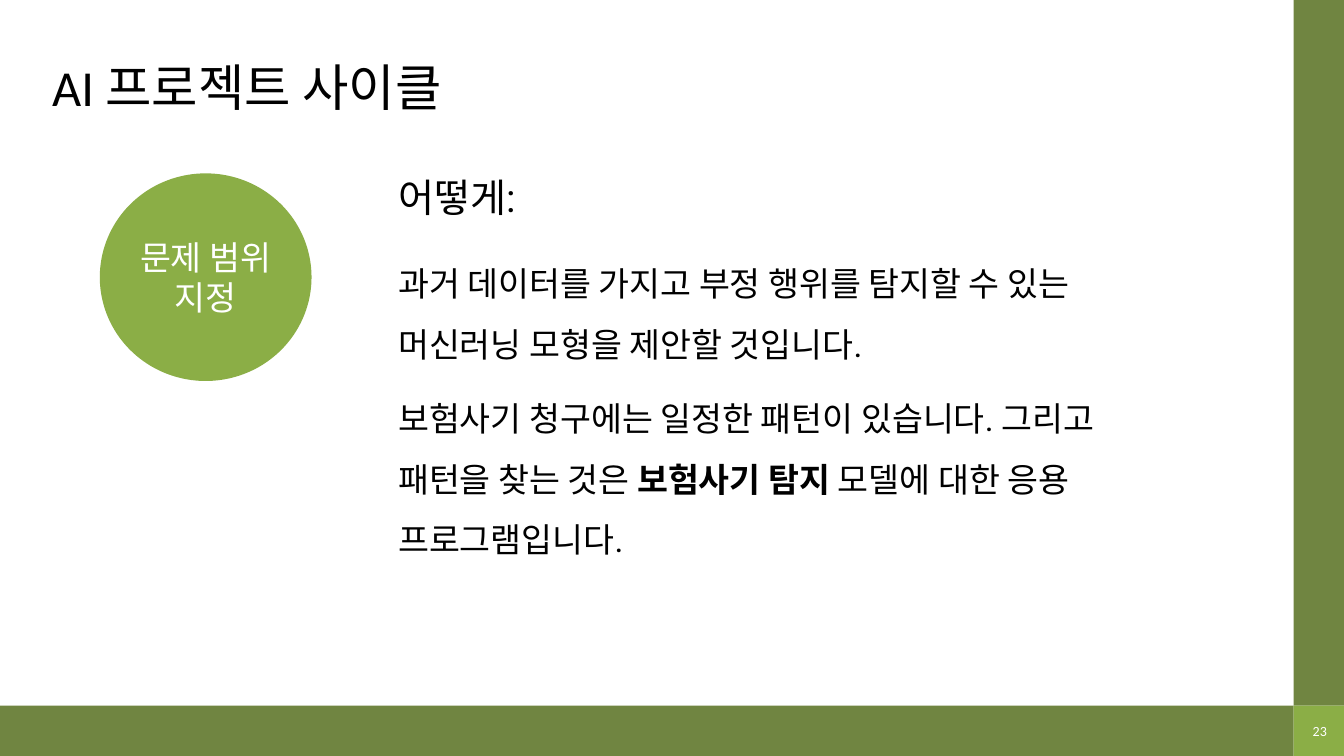
import pptx
import pptx.util
import pptx.dml.color
from pptx.enum.shapes import MSO_SHAPE
from pptx.enum.text import MSO_ANCHOR, PP_ALIGN

PX = 9144  # 100 px to the inch
COLORS = {"olive": "708541", "green": "8BAE46", "black": "000000", "white": "FFFFFF"}

deck = pptx.Presentation()
deck.slide_width, deck.slide_height = 1333 * PX, 750 * PX
slide = deck.slides.add_slide(deck.slide_layouts[6])


def add_block(kind, left, top, width, height, color):
    block = slide.shapes.add_shape(kind, left * PX, top * PX, width * PX, height * PX)
    block.shadow.inherit = False
    block.fill.solid()
    block.fill.fore_color.rgb = pptx.dml.color.RGBColor.from_string(COLORS[color])
    block.line.fill.background()
    return block


def set_text(shape, lines, size, font, color, spacing=1.0, inset=None):
    """Fill a shape with paragraphs, each a list of text runs; every second run is bold."""
    frame = shape.text_frame
    frame.word_wrap = True
    if inset is not None:
        frame.margin_left = frame.margin_right = inset * PX
        frame.margin_top = frame.margin_bottom = inset * PX
    for i, parts in enumerate(lines):
        para = frame.paragraphs[0] if i == 0 else frame.add_paragraph()
        para.line_spacing = spacing
        if i > 0:
            para.space_before = pptx.util.Pt(10)
        for j, part in enumerate(parts):
            run = para.add_run()
            run.text = part
            run.font.size = pptx.util.Pt(size)
            run.font.name = font
            run.font.bold = j % 2 == 1
            run.font.color.rgb = pptx.dml.color.RGBColor.from_string(COLORS[color])
    return frame


# Frame along the bottom and right edges
for left, top, width, height, color in [
    (0, 700, 1283, 50, "olive"),
    (1283, 0, 50, 700, "olive"),
    (1283, 700, 50, 50, "green"),
]:
    add_block(MSO_SHAPE.RECTANGLE, left, top, width, height, color)

# Circle with the project stage
circle = add_block(MSO_SHAPE.OVAL, 99, 172, 210, 206, "green")
frame = set_text(circle, [["문제 범위 지정"]], 24, "Roboto", "white", inset=6)
frame.vertical_anchor = MSO_ANCHOR.MIDDLE
frame.paragraphs[0].alignment = PP_ALIGN.CENTER

# Title, heading, body and page number
body = [
    ["과거 데이터를 가지고 부정 행위를 탐지할 수 있는 머신러닝 모형을 제안할 것입니다."],
    ["보험사기 청구에는 일정한 패턴이 있습니다. 그리고 패턴을 찾는 것은 ",
     "보험사기 탐지 ", "모델에 대한 응용 프로그램입니다."],
]
frames = []
for place, lines, size, font, color, spacing, inset in [
    ((42, 24, 594, 131), [["AI 프로젝트 사이클"]], 36, "Calibri", "black", 0.9, None),
    ((385, 172, 792, 58), [["어떻게:"]], 28, "Roboto", "black", 0.9, None),
    ((385, 236, 772, 58), body, 24, "Roboto", "black", 1.5, None),
    ((1301, 717, 16, 17), [["23"]], 10, "Calibri", "white", 1.0, 0),
]:
    box = slide.shapes.add_textbox(*[n * PX for n in place])
    frames.append(set_text(box, lines, size, font, color, spacing, inset))

title, head, text, page = frames
title.vertical_anchor = MSO_ANCHOR.MIDDLE
page.word_wrap = False
page.paragraphs[0].alignment = PP_ALIGN.CENTER

deck.save("out.pptx")
